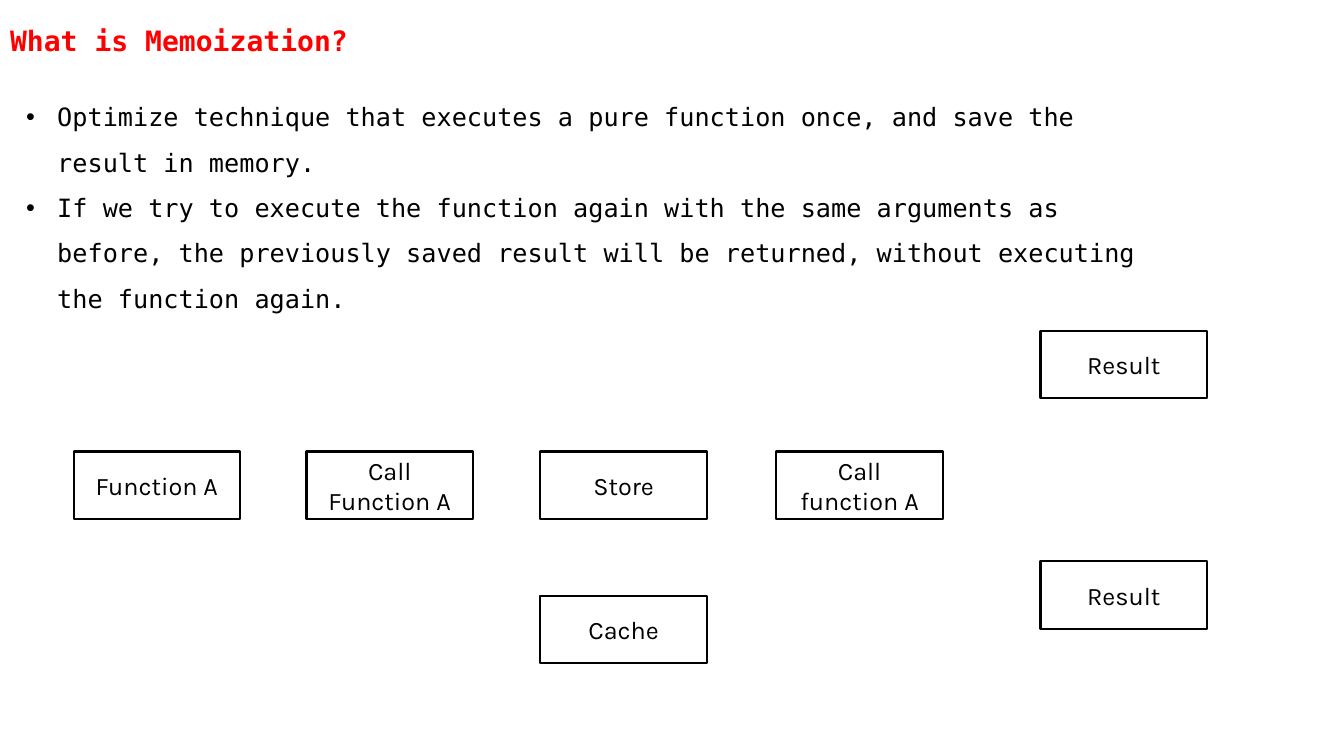
"""Build the slide that explains memoization."""
from lxml import etree
from pptx import Presentation
from pptx.dml.color import RGBColor
from pptx.enum import shapes, text
from pptx.oxml import ns
from pptx.util import Inches, Pt

RED = RGBColor(0xFF, 0x00, 0x00)
BLACK = RGBColor(0x00, 0x00, 0x00)
WHITE = RGBColor(0xFF, 0xFF, 0xFF)
MONO = "DejaVu Sans Mono"
BOX_WIDTH, BOX_HEIGHT = 1.65, 0.67
MAIN_ROW = 4.48

POINTS = [
    "Optimize technique that executes a pure function once, and save the result in memory.",
    "If we try to execute the function again with the same arguments as before, "
    "the previously saved result will be returned, without executing the function again.",
]
BOXES = [
    ("Function A", 0.73, MAIN_ROW),
    ("Call Function A", 3.04, MAIN_ROW),
    ("Store", 5.36, MAIN_ROW),
    ("Cache", 5.36, 5.91),
    ("Call function A", 7.7, MAIN_ROW),
    ("Result", 10.32, 3.28),
    ("Result", 10.32, 5.57),
]


def write(para, words, size, font, color, bold=False):
    span = para.add_run()
    span.text = words
    for name, value in {"size": Pt(size), "name": font, "bold": bold}.items():
        setattr(span.font, name, value)
    span.font.color.rgb = color


deck = Presentation()
deck.slide_width, deck.slide_height = Inches(13.33), Inches(7.5)
page = deck.slides.add_slide(deck.slide_layouts[5])

title = page.shapes.title
place = {"left": 0, "top": 0.22, "width": 4.9, "height": 0.44}
for name, value in place.items():
    setattr(title, name, Inches(value))
title.text_frame.vertical_anchor = text.MSO_ANCHOR.TOP
title.text_frame.auto_size = text.MSO_AUTO_SIZE.NONE
heading = title.text_frame.paragraphs[0]
heading.alignment = text.PP_ALIGN.LEFT
heading.line_spacing = 0.9
write(heading, "What is Memoization?", 20, MONO, RED, True)

body = page.shapes.add_textbox(Inches(0.16), Inches(0.81), Inches(11.37), Inches(2.32))
body.text_frame.word_wrap = True
body.text_frame.auto_size = text.MSO_AUTO_SIZE.SHAPE_TO_FIT_TEXT
for index, point in enumerate(POINTS):
    para = body.text_frame.add_paragraph() if index else body.text_frame.paragraphs[0]
    para.line_spacing = 1.5
    properties = para._p.get_or_add_pPr()
    properties.set("marL", str(Inches(0.31)))
    properties.set("indent", str(Inches(-0.31)))
    etree.SubElement(properties, ns.qn("a:buFont")).set("typeface", "Arial")
    etree.SubElement(properties, ns.qn("a:buChar")).set("char", "•")
    write(para, point, 18, MONO, BLACK)

for label, left, top in BOXES:
    box = page.shapes.add_shape(
        shapes.MSO_SHAPE.RECTANGLE,
        Inches(left), Inches(top), Inches(BOX_WIDTH), Inches(BOX_HEIGHT),
    )
    box.shadow.inherit = False
    box.fill.solid()
    box.fill.fore_color.rgb = WHITE
    box.line.color.rgb = BLACK
    box.line.width = Pt(1.5)
    box.text_frame.word_wrap = True
    box.text_frame.vertical_anchor = text.MSO_ANCHOR.MIDDLE
    para = box.text_frame.paragraphs[0]
    para.alignment = text.PP_ALIGN.CENTER
    write(para, label, 18, "Karla", BLACK)

deck.save("out.pptx")
